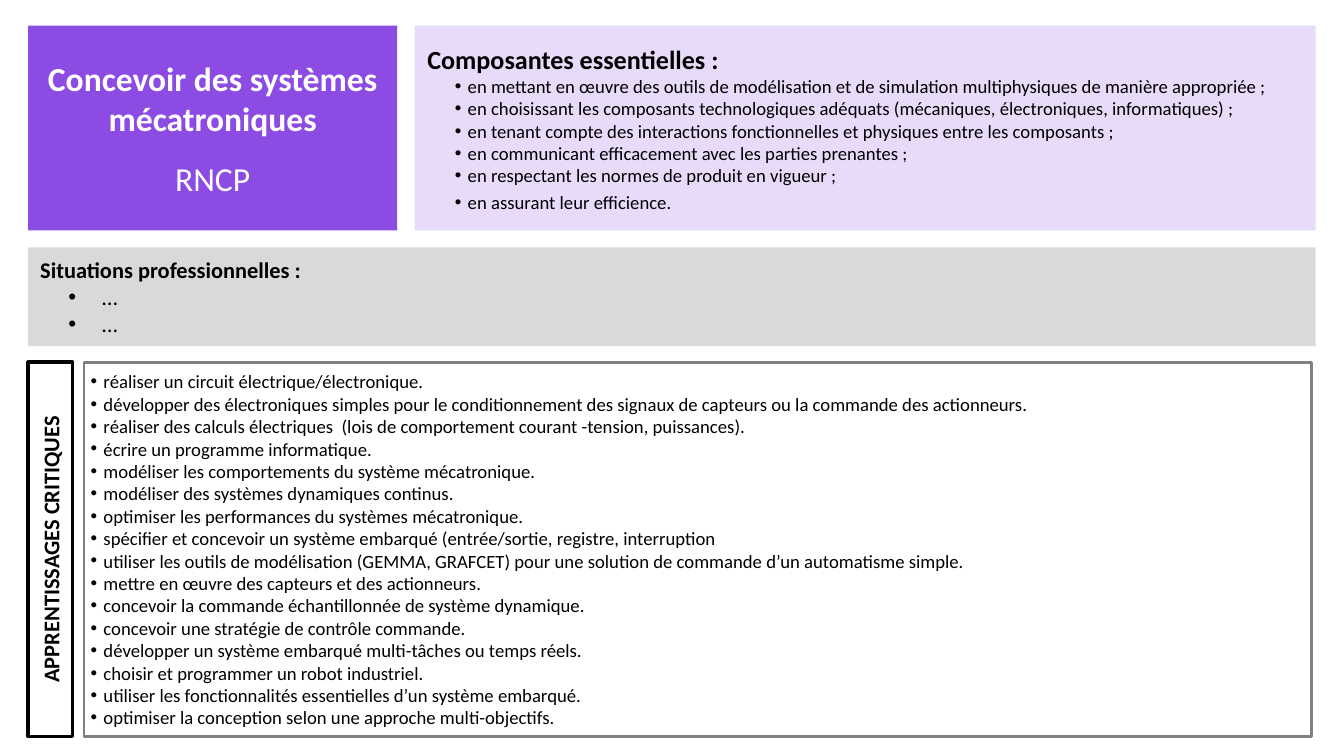
from dataclasses import dataclass

from lxml.etree import SubElement
from pptx import Presentation
from pptx.dml.color import RGBColor
from pptx.enum.shapes import MSO_SHAPE
from pptx.enum.text import MSO_ANCHOR, MSO_AUTO_SIZE, PP_ALIGN
from pptx.oxml.ns import qn
from pptx.util import Inches, Pt

FONT = "Calibri"
PURPLE, GREY, WHITE, BLACK = "8C4BE2", "D9D9D9", "FFFFFF", "000000"


@dataclass
class Line:
    text: str
    size: float
    bold: bool = False
    color: str = BLACK
    align: PP_ALIGN = PP_ALIGN.LEFT
    margin: float = 0
    hanging: float = 0  # a hanging indent brings a bullet
    before: float = 0
    spacing: float = 1.0


@dataclass
class Panel:
    left: float
    top: float
    width: float
    height: float
    fill: str
    lines: list[Line]
    opacity: int = 100
    border: str = ""
    border_width: float = 0
    rotation: float = 0


def rgb(value: str) -> RGBColor:
    return RGBColor.from_string(value)


def write_line(paragraph, line: Line) -> None:
    paragraph.text = line.text
    paragraph.alignment = line.align
    paragraph.line_spacing = line.spacing
    paragraph.space_before = Pt(line.before)
    paragraph.space_after = Pt(0)
    properties = paragraph._p.get_or_add_pPr()
    properties.set("marL", str(Inches(line.margin)))
    properties.set("indent", str(-Inches(line.hanging)))
    if line.hanging:
        SubElement(properties, qn("a:buFont"), typeface="Arial")
        SubElement(properties, qn("a:buChar"), char="•")
    else:
        SubElement(properties, qn("a:buNone"))
    font = paragraph.font
    font.name, font.size, font.bold = FONT, Pt(line.size), line.bold
    font.color.rgb = rgb(line.color)


def draw_panel(shape, panel: Panel) -> None:
    shape.left, shape.top = Inches(panel.left), Inches(panel.top)
    shape.width, shape.height = Inches(panel.width), Inches(panel.height)
    shape.rotation = panel.rotation
    shape.shadow.inherit = False

    shape.fill.solid()
    shape.fill.fore_color.rgb = rgb(panel.fill)
    if panel.opacity < 100:
        color = shape._element.spPr.find(qn("a:solidFill"))[0]
        SubElement(color, qn("a:alpha"), val=str(panel.opacity * 1000))
    if panel.border:
        shape.line.color.rgb = rgb(panel.border)
        shape.line.width = Pt(panel.border_width)
    else:
        shape.line.fill.background()

    frame = shape.text_frame
    frame.word_wrap = True
    frame.auto_size = MSO_AUTO_SIZE.NONE
    frame.vertical_anchor = MSO_ANCHOR.MIDDLE
    for index, line in enumerate(panel.lines):
        write_line(frame.paragraphs[0] if index == 0 else frame.add_paragraph(), line)


# Page grid
LEFT, RIGHT, TOP = 0.42, 19.58, 0.38
HEADER_HEIGHT = 3.05
LEARNING_TOP, LEARNING_HEIGHT = 5.39, 5.57
LABEL_WIDTH = 0.66

# Wording
component_texts = [
    "en mettant en œuvre des outils de modélisation et de simulation multiphysiques de manière appropriée ;",
    "en choisissant les composants technologiques adéquats (mécaniques, électroniques, informatiques) ;",
    "en tenant compte des interactions fonctionnelles et physiques entre les composants ;",
    "en communicant efficacement avec les parties prenantes ;",
    "en respectant les normes de produit en vigueur ;",
]
learning_texts = [
    "réaliser un circuit électrique/électronique.",
    "développer des électroniques simples pour le conditionnement des signaux de capteurs ou la commande des actionneurs.",
    "réaliser des calculs électriques  (lois de comportement courant -tension, puissances).",
    "écrire un programme informatique.",
    "modéliser les comportements du système mécatronique.",
    "modéliser des systèmes dynamiques continus.",
    "optimiser les performances du systèmes mécatronique.",
    "spécifier et concevoir un système embarqué (entrée/sortie, registre, interruption",
    "utiliser les outils de modélisation (GEMMA, GRAFCET) pour une solution de commande d’un automatisme simple.",
    "mettre en œuvre des capteurs et des actionneurs.",
    "concevoir la commande échantillonnée de système dynamique.",
    "concevoir une stratégie de contrôle commande.",
    "développer un système embarqué multi-tâches ou temps réels.",
    "choisir et programmer un robot industriel.",
    "utiliser les fonctionnalités essentielles d’un système embarqué.",
    "optimiser la conception selon une approche multi-objectifs.",
]

# Panels
competence = Panel(LEFT, TOP, 5.49, HEADER_HEIGHT, PURPLE, [
    Line("Concevoir des systèmes mécatroniques", 36, True, WHITE, PP_ALIGN.CENTER),
    Line("RNCP", 36, False, WHITE, PP_ALIGN.CENTER, spacing=1.5),
])
components = Panel(6.17, TOP, RIGHT - 6.17, HEADER_HEIGHT, PURPLE, [
    Line("Composantes essentielles :", 28, True, margin=0.09),
    *(Line(text, 20, margin=0.69, hanging=0.19) for text in component_texts),
    Line("en assurant leur efficience.", 20, margin=0.69, hanging=0.19, before=4),
], opacity=20)
situations = Panel(LEFT, 3.68, RIGHT - LEFT, 1.47, GREY, [
    Line("Situations professionnelles :", 24, True, margin=0.08),
    *(Line("…", 24, margin=1, hanging=0.5) for _ in range(2)),
])
learnings = Panel(
    1.25, LEARNING_TOP, 18.27, LEARNING_HEIGHT, WHITE,
    [Line(text, 20, margin=0.19, hanging=0.19) for text in learning_texts],
    border="808080", border_width=3,
)
# The label is laid flat around its centre, then turned upright
learning_label = Panel(
    LEFT + (LABEL_WIDTH - LEARNING_HEIGHT) / 2,
    LEARNING_TOP + (LEARNING_HEIGHT - LABEL_WIDTH) / 2,
    LEARNING_HEIGHT, LABEL_WIDTH, WHITE,
    [Line("APPRENTISSAGES CRITIQUES", 24, True, align=PP_ALIGN.CENTER)],
    border=BLACK, border_width=3.75, rotation=270,
)


def main() -> None:
    presentation = Presentation()
    presentation.slide_width, presentation.slide_height = Inches(20), Inches(11.25)
    two_content = presentation.slide_layouts[3]
    slide = presentation.slides.add_slide(two_content)

    # Title and the two main lists
    draw_panel(slide.shapes.title, competence)
    draw_panel(slide.placeholders[1], components)
    draw_panel(slide.placeholders[2], learnings)

    # Situations band and upright label
    for panel in (situations, learning_label):
        draw_panel(slide.shapes.add_shape(MSO_SHAPE.RECTANGLE, 0, 0, 0, 0), panel)

    presentation.save("out.pptx")


if __name__ == "__main__":
    main()
